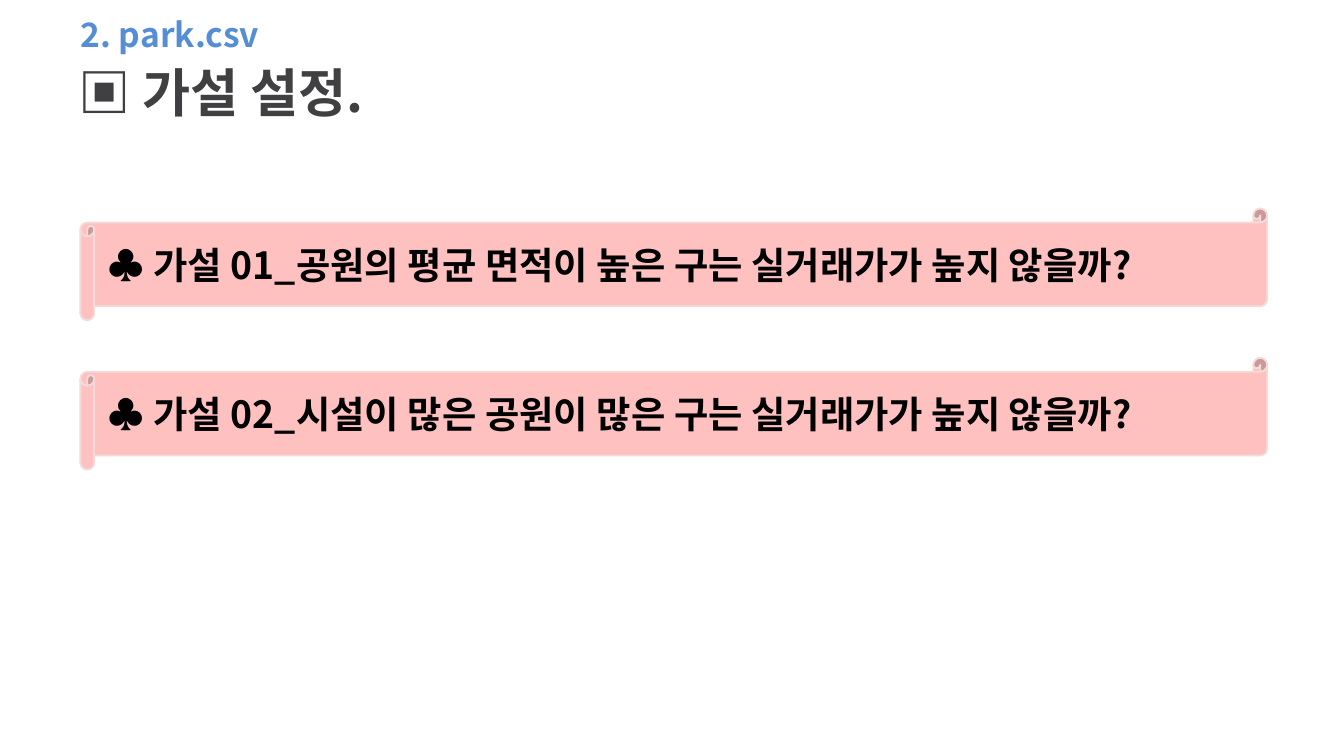
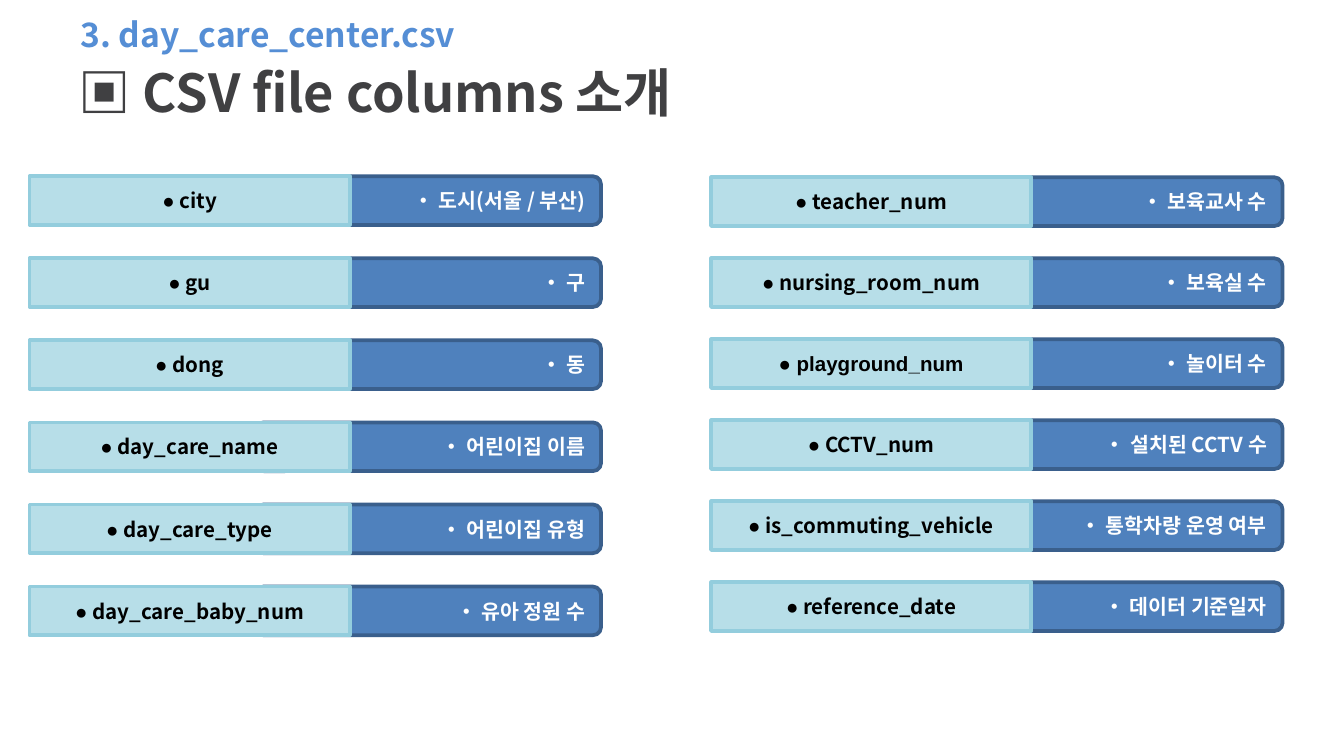
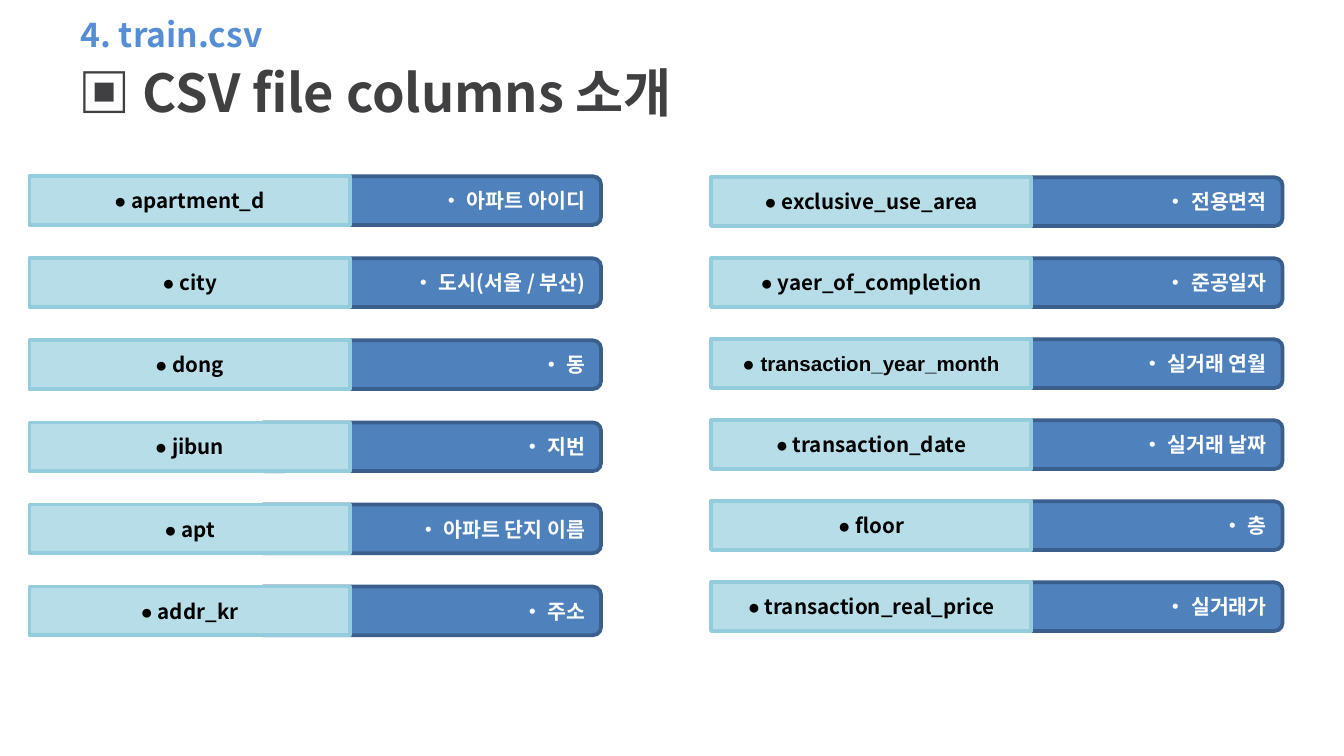
from dataclasses import dataclass

from lxml.etree import SubElement
from pptx import Presentation
from pptx.dml.color import RGBColor as RGB
from pptx.enum.shapes import MSO_SHAPE as SHAPE
from pptx.enum.text import MSO_ANCHOR as ANCHOR, MSO_AUTO_SIZE as AUTO, PP_ALIGN as ALIGN
from pptx.oxml.ns import qn
from pptx.util import Cm, Pt


@dataclass(frozen=True)
class Theme:
    # Fonts
    main: str = "Noto Sans CJK KR"
    plain: str = "Arial"
    # Colours
    topic: str = "558ED5"
    heading: str = "404042"
    dark: str = "000000"
    light: str = "FFFFFF"
    scroll: str = "FFC0C0"
    scroll_line: str = "F2DCDB"
    label: str = "B7DEE8"
    label_line: str = "93CDDD"
    meaning: str = "4F81BD"
    meaning_line: str = "3A5F8C"
    # Type sizes
    topic_size: int = 18
    heading_size: int = 28
    scroll_size: int = 20
    row_size: int = 11


class Deck:
    def __init__(self, theme):
        self.theme = theme
        self.prs = Presentation()
        self.prs.slide_width, self.prs.slide_height = Cm(25.4), Cm(14.28)
        self.slide = None

    def put_text(self, sp, runs, size, color, align=ALIGN.LEFT):
        """Fill a shape with one paragraph of (text, font) runs."""
        tf = sp.text_frame
        frame = {"word_wrap": True, "auto_size": AUTO.NONE, "vertical_anchor": ANCHOR.MIDDLE}
        for name, value in frame.items():
            setattr(tf, name, value)
        p = tf.paragraphs[0]
        p.alignment = align
        for text, font in runs:
            r = p.add_run()
            r.text = text
            for name, value in {"name": font, "size": Pt(size), "bold": True}.items():
                setattr(r.font, name, value)
            r.font.color.rgb = RGB.from_string(color)
            # East Asian glyphs need their own typeface
            SubElement(r._r.get_or_add_rPr(), qn("a:ea")).set("typeface", self.theme.main)

    def shape(self, shapes, kind, box, fill, line, weight):
        sp = shapes.add_shape(kind, *map(Cm, box))
        sp.shadow.inherit = False
        sp.fill.solid()
        sp.fill.fore_color.rgb = RGB.from_string(fill)
        sp.line.color.rgb = RGB.from_string(line)
        sp.line.width = Pt(weight)
        return sp

    def new_slide(self, topic, heading):
        t = self.theme
        self.slide = self.prs.slides.add_slide(self.prs.slide_layouts[5])
        sp = self.slide.shapes.title
        place = {"left": 1.27, "top": 0.2, "width": 9.83, "height": 0.89}
        for name, value in place.items():
            setattr(sp, name, Cm(value))
        self.put_text(sp, [(topic, t.main)], t.topic_size, t.topic)
        sp = self.slide.shapes.add_textbox(Cm(1.24), Cm(0.66), Cm(22.86), Cm(2.16))
        self.put_text(sp, [(f"▣ {heading}", t.main)], t.heading_size, t.heading)

    def hypothesis(self, top, text):
        t = self.theme
        sp = self.shape(self.slide.shapes, SHAPE.HORIZONTAL_SCROLL, (1.52, top, 22.43, 2.11),
                        t.scroll, t.scroll_line, 1)
        self.put_text(sp, [(f"♣ {text}", t.main)], t.scroll_size, t.dark)

    def column_row(self, left, top, name, meaning, font):
        """Group a column name with the meaning bar behind it."""
        t = self.theme
        shapes = self.slide.shapes.add_group_shape().shapes
        sp = self.shape(shapes, SHAPE.ROUNDED_RECTANGLE, (left + 4.27, top, 6.53, 0.92),
                        t.meaning, t.meaning_line, 2)
        self.put_text(sp, [(f"• {meaning}", t.main)], t.row_size, t.light, ALIGN.RIGHT)
        sp = self.shape(shapes, SHAPE.RECTANGLE, (left, top, 6.05, 0.92),
                        t.label, t.label_line, 2)
        self.put_text(sp, [("●", t.plain), (f" {name}", font)], t.row_size, t.dark, ALIGN.CENTER)

    def column_list(self, left, top, step, rows):
        for i, (name, meaning) in enumerate(rows):
            font = self.theme.plain if name in PLAIN_NAMES else self.theme.main
            self.column_row(left, top + i * step, name, meaning, font)


HYPOTHESES = [
    "가설 01_공원의 평균 면적이 높은 구는 실거래가가 높지 않을까?",
    "가설 02_시설이 많은 공원이 많은 구는 실거래가가 높지 않을까?",
]

# Column names set in the plain font
PLAIN_NAMES = {"playground_num", "transaction_year_month"}

# Left, top and row step of the two lists
LISTS = [(0.56, 3.33, 1.55), (13.44, 3.35, 1.53)]

FILES = {
    "3. day_care_center.csv": [
        [("city", "도시(서울 / 부산)"), ("gu", "구"), ("dong", "동"),
         ("day_care_name", "어린이집 이름"), ("day_care_type", "어린이집 유형"),
         ("day_care_baby_num", "유아 정원 수")],
        [("teacher_num", "보육교사 수"), ("nursing_room_num", "보육실 수"),
         ("playground_num", "놀이터 수"), ("CCTV_num", "설치된 CCTV 수"),
         ("is_commuting_vehicle", "통학차량 운영 여부"), ("reference_date", "데이터 기준일자")],
    ],
    "4. train.csv": [
        [("apartment_d", "아파트 아이디"), ("city", "도시(서울 / 부산)"), ("dong", "동"),
         ("jibun", "지번"), ("apt", "아파트 단지 이름"), ("addr_kr", "주소")],
        [("exclusive_use_area", "전용면적"), ("yaer_of_completion", "준공일자"),
         ("transaction_year_month", "실거래 연월"), ("transaction_date", "실거래 날짜"),
         ("floor", "층"), ("transaction_real_price", "실거래가")],
    ],
}


def main():
    deck = Deck(Theme())

    # Hypotheses
    deck.new_slide("2. park.csv", "가설 설정.")
    for i, text in enumerate(HYPOTHESES):
        deck.hypothesis(3.94 + i * 2.82, text)

    # Column introductions
    for topic, lists in FILES.items():
        deck.new_slide(topic, "CSV file columns 소개")
        for (left, top, step), rows in zip(LISTS, lists):
            deck.column_list(left, top, step, rows)

    deck.prs.save("out.pptx")


if __name__ == "__main__":
    main()
